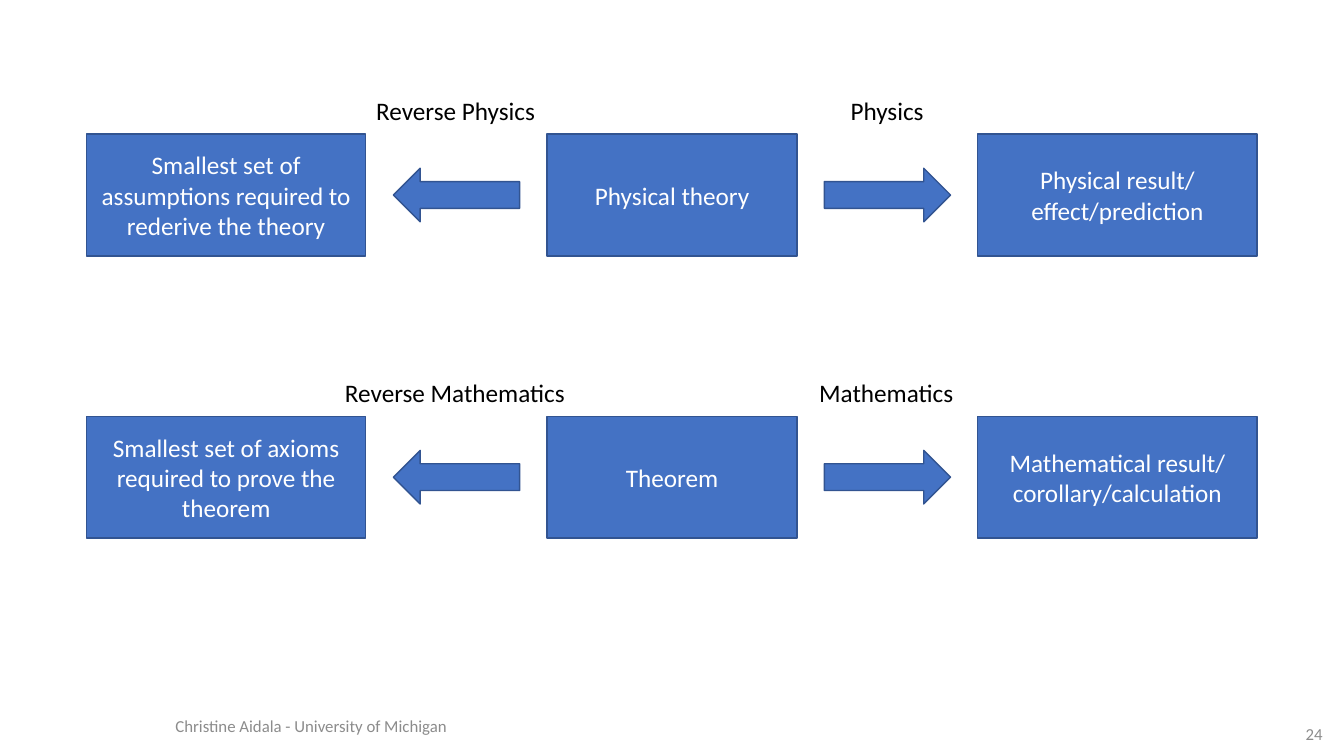
from pptx import Presentation
from pptx.dml.color import RGBColor
from pptx.enum.shapes import MSO_SHAPE
from pptx.enum.text import MSO_ANCHOR, MSO_AUTO_SIZE, PP_ALIGN
from pptx.util import Cm, Pt

RECTANGLE = MSO_SHAPE.RECTANGLE
ARROWS = (MSO_SHAPE.LEFT_ARROW, MSO_SHAPE.RIGHT_ARROW)
LEFT, CENTER, RIGHT = PP_ALIGN.LEFT, PP_ALIGN.CENTER, PP_ALIGN.RIGHT
TOP, MIDDLE = MSO_ANCHOR.TOP, MSO_ANCHOR.MIDDLE
FIT_SHAPE = MSO_AUTO_SIZE.SHAPE_TO_FIT_TEXT

ROWS = [
    {
        "top": 3.38,
        "boxes": [
            "Smallest set of assumptions required to rederive the theory",
            "Physical theory",
            "Physical result/\neffect/prediction",
        ],
        "labels": [("Reverse Physics", 4.55), ("Physics", 2.36)],
    },
    {
        "top": 10.49,
        "boxes": [
            "Smallest set of axioms required to prove the theorem",
            "Theorem",
            "Mathematical result/\ncorollary/calculation",
        ],
        "labels": [("Reverse Mathematics", 6.12), ("Mathematics", 3.94)],
    },
]
FOOTERS = [
    ("Christine Aidala - University of Michigan", (4.17, 17.78, 16.59, 1.02), LEFT),
    ("24", (32.03, 18.16, 1.55, 0.64), RIGHT),
]
COLUMNS = [(2.18, 7.04), (13.79, 6.3), (24.64, 7.04)]
BOX_HEIGHT = 3.07
ARROW_WIDTH, ARROW_HEIGHT = 3.18, 1.35
LABEL_RISE, LABEL_HEIGHT = 1.1, 1.02

COLORS = {"fill": "4472C4", "line": "325491", "light": "FFFFFF",
          "dark": "000000", "muted": "8C8C8C"}
BODY = {"name": "Calibri", "size": Pt(18)}
SMALL = {"name": "Calibri", "size": Pt(12)}


def color(name):
    return RGBColor.from_string(COLORS[name])


def write(shape, text, font_format, color_name, alignment, frame_format):
    for name, value in frame_format.items():
        setattr(shape.text_frame, name, value)
    paragraph = shape.text_frame.paragraphs[0]
    paragraph.text = text
    paragraph.alignment = alignment
    for name, value in font_format.items():
        setattr(paragraph.font, name, value)
    paragraph.font.color.rgb = color(color_name)


def add_block(slide, kind, left, top, width, height):
    shape = slide.shapes.add_shape(kind, Cm(left), Cm(top), Cm(width), Cm(height))
    shape.shadow.inherit = False
    shape.fill.solid()
    shape.fill.fore_color.rgb = color("fill")
    shape.line.color.rgb = color("line")
    shape.line.width = Pt(1)
    return shape


def add_text(slide, text, bounds, *style):
    box = slide.shapes.add_textbox(*map(Cm, bounds))
    write(box, text, *style)


def add_row(slide, row):
    top = row["top"]
    for text, (left, width) in zip(row["boxes"], COLUMNS):
        box = add_block(slide, RECTANGLE, left, top, width, BOX_HEIGHT)
        write(box, text, BODY, "light", CENTER,
              {"word_wrap": True, "vertical_anchor": MIDDLE})
    gaps = zip(COLUMNS, COLUMNS[1:], ARROWS, row["labels"])
    for (left, width), (next_left, _), arrow, (label, label_width) in gaps:
        middle = (left + width + next_left) / 2
        add_block(slide, arrow, middle - ARROW_WIDTH / 2,
                  top + (BOX_HEIGHT - ARROW_HEIGHT) / 2, ARROW_WIDTH, ARROW_HEIGHT)
        bounds = (middle - label_width / 2, top - LABEL_RISE, label_width, LABEL_HEIGHT)
        add_text(slide, label, bounds, BODY, "dark", LEFT,
                 {"word_wrap": False, "vertical_anchor": TOP, "auto_size": FIT_SHAPE})


def main():
    presentation = Presentation()
    presentation.slide_width, presentation.slide_height = Cm(33.87), Cm(19.05)
    slide = presentation.slides.add_slide(presentation.slide_layouts[6])
    for text, bounds, alignment in FOOTERS:
        add_text(slide, text, bounds, SMALL, "muted", alignment,
                 {"word_wrap": True, "vertical_anchor": MIDDLE})
    for row in ROWS:
        add_row(slide, row)
    presentation.save("out.pptx")


if __name__ == "__main__":
    main()
